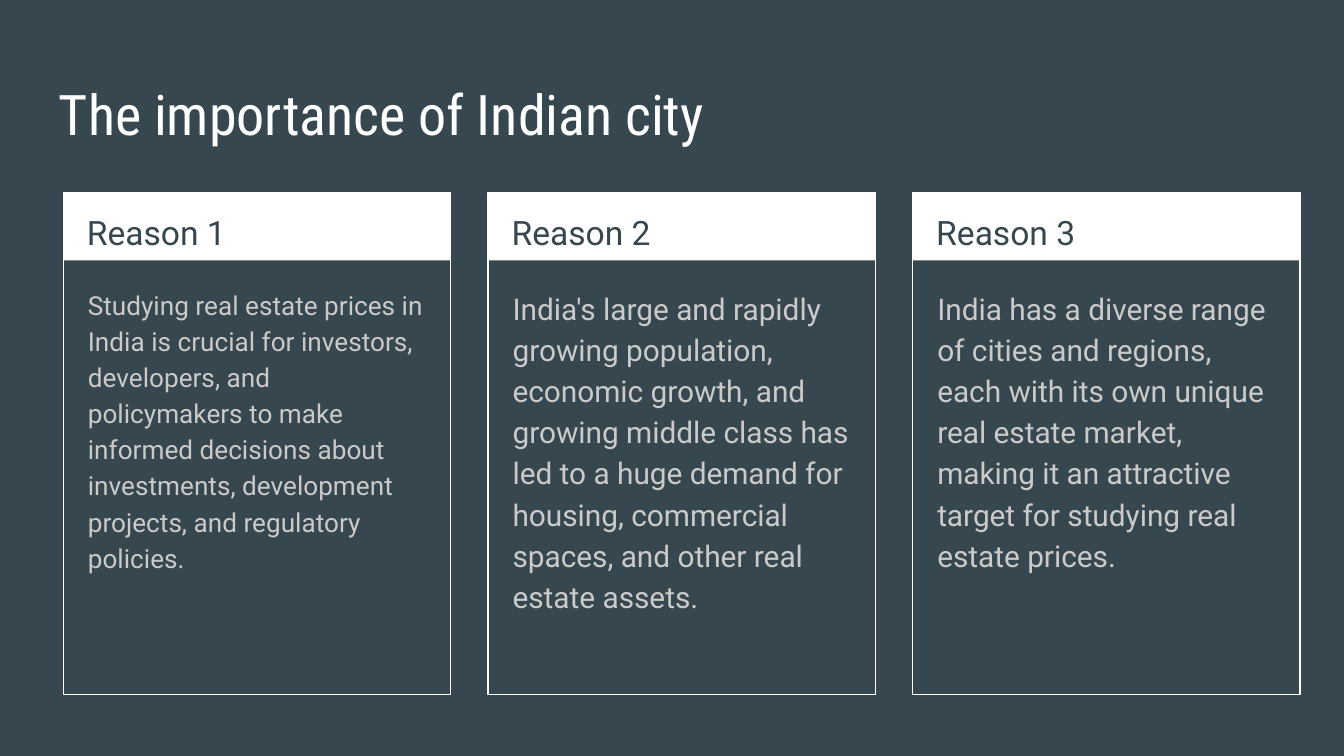
"""Build a slide with three reason cards under a title."""
from dataclasses import dataclass

from pptx import Presentation
from pptx.dml.color import RGBColor
from pptx.enum.shapes import MSO_SHAPE
from pptx.util import Pt


@dataclass(frozen=True)
class Theme:
    slate: RGBColor = RGBColor(0x37, 0x47, 0x4F)
    white: RGBColor = RGBColor(0xFF, 0xFF, 0xFF)
    gray: RGBColor = RGBColor(0xCA, 0xCA, 0xCA)
    title: int = 30
    head: int = 18
    body: int = 16
    small: int = 14
    font: str = "Roboto"
    narrow: str = "Roboto Condensed"


theme = Theme()


def add_text(text, left, top, width, height, size, color, font=theme.font):
    box = slide.shapes.add_textbox(Pt(left), Pt(top), Pt(width), Pt(height))
    frame = box.text_frame
    frame.word_wrap = True
    frame.margin_left = frame.margin_right = Pt(7.2)
    frame.margin_top = frame.margin_bottom = Pt(7.2)
    frame.text = text
    para = frame.paragraphs[0]
    face = para.runs[0].font
    face.name, face.size = font, Pt(size)
    face.color.rgb = color
    return para


def add_rect(group, left, height):
    rect = group.shapes.add_shape(
        MSO_SHAPE.RECTANGLE, Pt(left), Pt(TOP), Pt(WIDTH), Pt(height))
    rect.shadow.inherit = False
    return rect


TOP, WIDTH, PITCH = 103, 207.5, 227.5
REASONS = [
    ("Reason 1", theme.small,
     "Studying real estate prices in India is crucial for investors, "
     "developers, and policymakers to make informed decisions about "
     "investments, development projects, and regulatory policies."),
    ("Reason 2", theme.body,
     "India's large and rapidly growing population, economic growth, and "
     "growing middle class has led to a huge demand for housing, commercial "
     "spaces, and other real estate assets."),
    ("Reason 3", theme.body,
     "India has a diverse range of cities and regions, each with its own "
     "unique real estate market, making it an attractive target for "
     "studying real estate prices."),
]

deck = Presentation()
deck.slide_width, deck.slide_height = Pt(720), Pt(405)
slide = deck.slides.add_slide(deck.slide_layouts[6])
slide.background.fill.solid()
slide.background.fill.fore_color.rgb = theme.slate

add_text("The importance of Indian city", 24.5, 35.5, 671, 45,
         theme.title, theme.white, theme.narrow)

for index, (head, size, body) in enumerate(REASONS):
    left = 34 + index * PITCH
    card = slide.shapes.add_group_shape()

    band = add_rect(card, left, 36.5)
    band.fill.solid()
    band.fill.fore_color.rgb = theme.white
    band.line.fill.background()

    border = add_rect(card, left, 269)
    border.fill.background()
    border.line.color.rgb = theme.white
    border.line.width = Pt(0.75)

    label = add_text(head, left + 5.5, TOP, 196.5, 36,
                     theme.head, theme.slate)
    label.line_spacing = 1.15

    reason = add_text(body, left + 6, 145.5, 195, 220, size, theme.gray)
    reason.line_spacing = 1.15
    reason.space_after = Pt(16)

deck.save("out.pptx")
